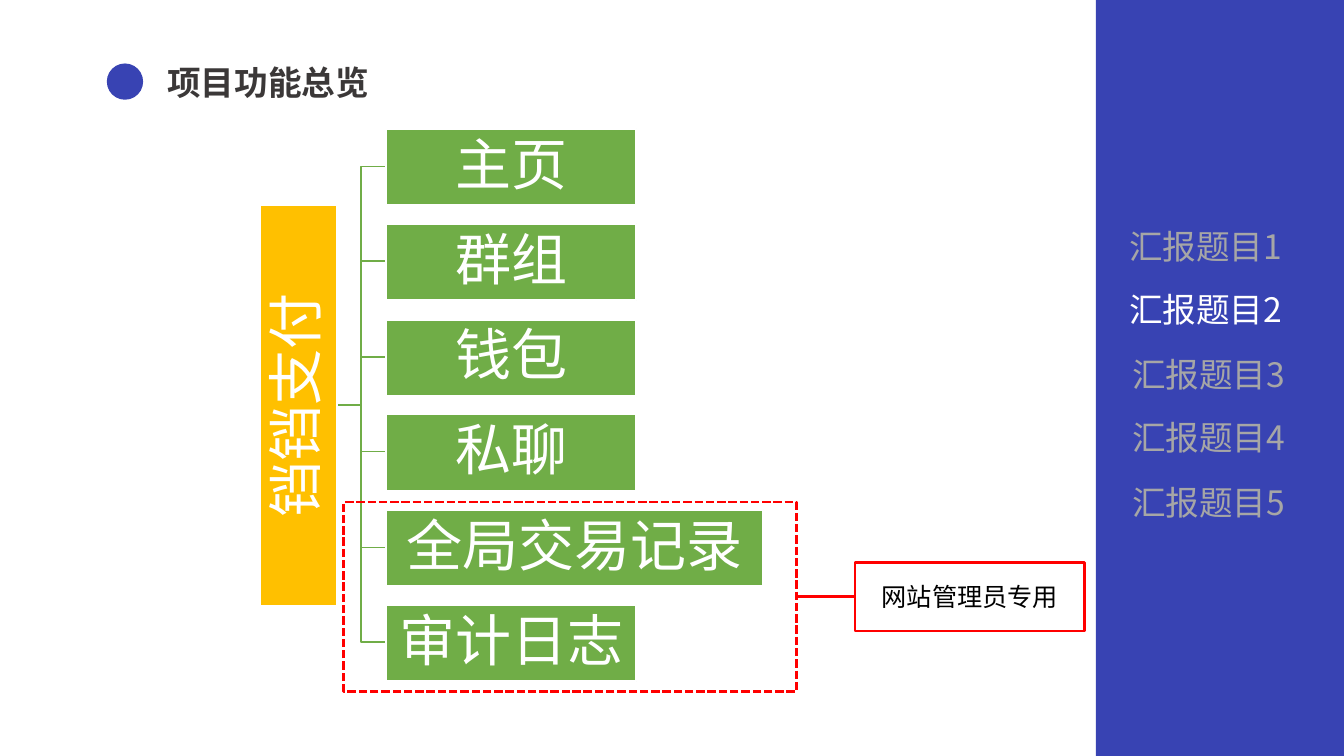
from typing import NamedTuple, Optional

from lxml import etree
from pptx import Presentation
from pptx.dml.color import RGBColor
from pptx.enum.dml import MSO_LINE
from pptx.enum.shapes import MSO_CONNECTOR as Connector, MSO_SHAPE as Preset
from pptx.enum.text import MSO_ANCHOR as Anchor, MSO_AUTO_SIZE as AutoSize, PP_ALIGN as Align
from pptx.oxml.ns import qn
from pptx.util import Emu, Pt

FONT = "Noto Sans CJK SC"
BLUE = RGBColor(0x38, 0x43, 0xB3)
DARK = RGBColor(0x3B, 0x38, 0x38)
GREY = RGBColor(0xA6, 0xA6, 0xA6)
WHITE = RGBColor(0xFF, 0xFF, 0xFF)
BLACK = RGBColor(0x00, 0x00, 0x00)
GREEN = RGBColor(0x70, 0xAD, 0x47)
AMBER = RGBColor(0xFF, 0xC0, 0x00)
RED = RGBColor(0xFF, 0x00, 0x00)


class Box(NamedTuple):
    left: int
    top: int
    width: int
    height: int


class Feature(NamedTuple):
    name: str
    width: int = 248


class Topic(NamedTuple):
    name: str
    left: int = 1113
    color: RGBColor = GREY


FEATURES = [
    Feature("主页"),
    Feature("群组"),
    Feature("钱包"),
    Feature("私聊"),
    Feature("全局交易记录", 374),
    Feature("审计日志"),
]
TOPICS = [
    Topic("汇报题目1", 1110),
    Topic("汇报题目2", 1110, WHITE),
    Topic("汇报题目3"),
    Topic("汇报题目4"),
    Topic("汇报题目5"),
]

FEATURE_LEFT, FEATURE_TOP, FEATURE_HEIGHT, FEATURE_PITCH = 383, 128, 76, 94.5
TOPIC_TOP, TOPIC_PITCH = 219, 63.5
TRUNK_X, TRUNK_Y = 333, 402


def px(length: float) -> Emu:
    """Convert px, 100 to the inch, into EMU."""
    return Emu(int(length * 9144))


def emu_box(box: Box) -> list[Emu]:
    return [px(length) for length in box]


def write(shape, text: str, size: int, color: RGBColor, align=Align.LEFT,
          anchor=Anchor.TOP, bold: bool = False) -> None:
    frame = shape.text_frame
    frame.text = text
    frame.word_wrap = True
    frame.vertical_anchor = anchor
    paragraph = frame.paragraphs[0]
    paragraph.alignment = align
    font = paragraph.runs[0].font
    font.name, font.size, font.bold = FONT, Pt(size), bold
    font.color.rgb = color
    east_asian = etree.SubElement(paragraph.runs[0]._r.get_or_add_rPr(), qn("a:ea"))
    east_asian.set("typeface", FONT)


def add_block(slide, box: Box, fill: Optional[RGBColor] = None,
              line: Optional[RGBColor] = None, weight: float = 1.5, preset=Preset.RECTANGLE):
    block = slide.shapes.add_shape(preset, *emu_box(box))
    block.shadow.inherit = False
    if fill is None:
        block.fill.background()
    else:
        block.fill.solid()
        block.fill.fore_color.rgb = fill
    if line is None:
        block.line.fill.background()
    else:
        block.line.color.rgb = line
        block.line.width = Pt(weight)
    return block


def add_tree_node(slide, box: Box, name: str, fill: RGBColor):
    node = add_block(slide, box, fill, WHITE)
    write(node, name, 40, WHITE, Align.CENTER, Anchor.MIDDLE)
    frame = node.text_frame
    frame.margin_left = frame.margin_right = frame.margin_top = frame.margin_bottom = px(3)
    frame.paragraphs[0].line_spacing = 0.9
    return node


def add_link(slide, kind, start: tuple, end: tuple, color: RGBColor, weight: float):
    link = slide.shapes.add_connector(kind, *[px(length) for length in (*start, *end)])
    link.line.color.rgb = color
    link.line.width = Pt(weight)
    etree.SubElement(link._element.spPr, qn("a:effectLst"))
    return link


def add_heading(slide) -> None:
    title = slide.shapes.title
    title.left, title.top, title.width, title.height = emu_box(Box(156, 56, 291, 50))
    write(title, "项目功能总览", 24, DARK, bold=True)
    title.text_frame.auto_size = AutoSize.NONE
    add_block(slide, Box(106, 63, 36, 36), BLUE, preset=Preset.OVAL)


def add_sidebar(slide) -> None:
    add_block(slide, Box(1087, 0, 246, 750), BLUE)
    for row, topic in enumerate(TOPICS):
        box = Box(topic.left, int(TOPIC_TOP + row * TOPIC_PITCH), 195, 50)
        write(slide.shapes.add_textbox(*emu_box(box)), topic.name, 24, topic.color)


def add_feature_tree(slide) -> None:
    boxes = [Box(FEATURE_LEFT, int(FEATURE_TOP + row * FEATURE_PITCH), feature.width, FEATURE_HEIGHT)
             for row, feature in enumerate(FEATURES)]
    for box in boxes:
        add_link(slide, Connector.ELBOW, (TRUNK_X, TRUNK_Y),
                 (FEATURE_LEFT, box.top + FEATURE_HEIGHT // 2 - 1), GREEN, 1)
    root = add_tree_node(slide, Box(97, 364, 398, 76), "铛铛支付", AMBER)
    root.rotation = 270
    for feature, box in zip(FEATURES, boxes):
        add_tree_node(slide, box, feature.name, GREEN)


def add_admin_callout(slide) -> None:
    admin_area = add_block(slide, Box(341, 498, 449, 188), line=RED, weight=2)
    admin_area.line.dash_style = MSO_LINE.SQUARE_DOT
    admin_label = add_block(slide, Box(848, 558, 228, 68), line=RED, weight=2)
    write(admin_label, "网站管理员专用", 18, BLACK, Align.CENTER, Anchor.MIDDLE)
    link = add_link(slide, Connector.STRAIGHT, (848, 592), (790, 592), RED, 2.5)
    link.begin_connect(admin_label, 1)
    link.end_connect(admin_area, 3)


def main() -> None:
    deck = Presentation()
    deck.slide_width, deck.slide_height = px(1333), px(750)
    slide = deck.slides.add_slide(deck.slide_layouts[5])
    add_heading(slide)
    add_sidebar(slide)
    add_feature_tree(slide)
    add_admin_callout(slide)
    deck.save("out.pptx")


if __name__ == "__main__":
    main()
